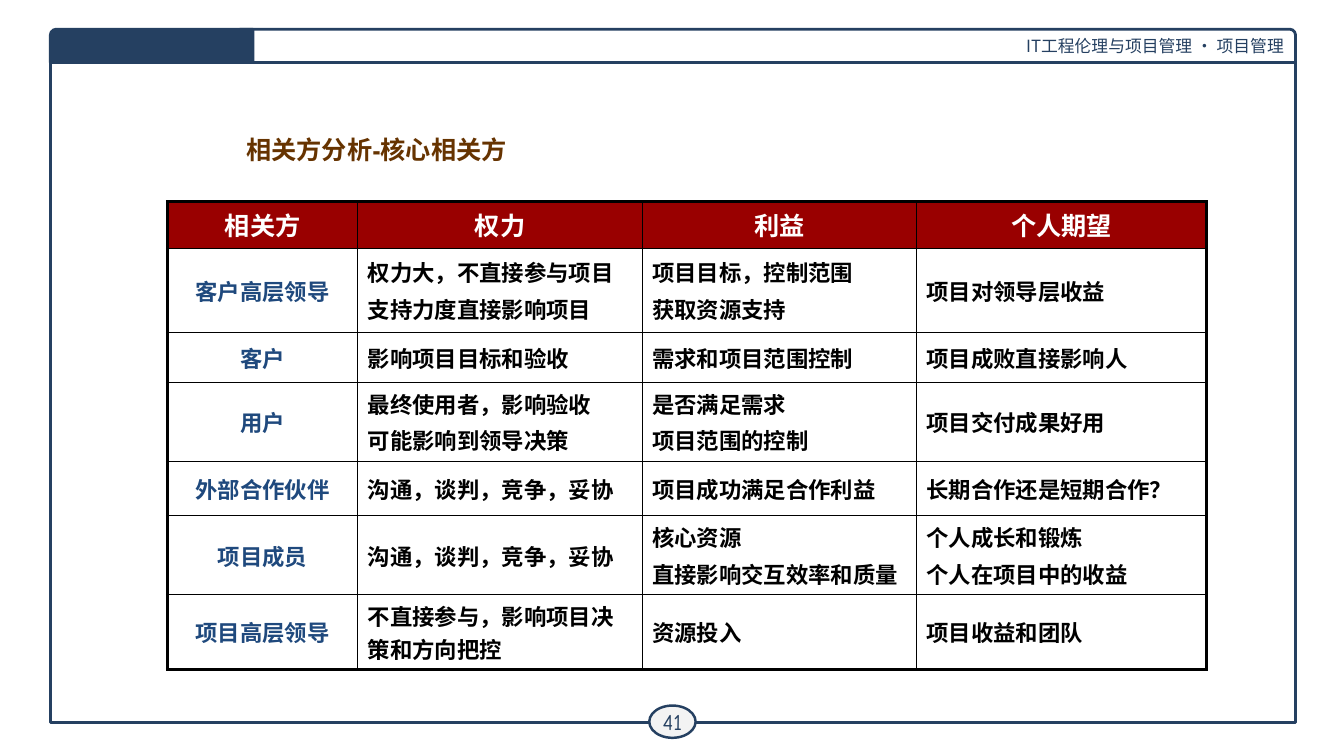
import dataclasses

import lxml.etree
import pptx
import pptx.dml.color
import pptx.enum.shapes
import pptx.enum.text
import pptx.oxml.ns
import pptx.util

ALIGN = pptx.enum.text.PP_ALIGN
ANCHOR = pptx.enum.text.MSO_ANCHOR
SHAPE = pptx.enum.shapes.MSO_SHAPE


@dataclasses.dataclass(frozen=True)
class Theme:
    """Colours, fonts and sizes of the slide."""
    width: float = 13.33
    height: float = 7.5
    navy: str = "254061"
    white: str = "FFFFFF"
    pale: str = "F3F3F3"
    brown: str = "663300"
    red: str = "990000"
    blue: str = "1F497D"
    black: str = "000000"
    cjk: str = "Noto Sans CJK SC"
    heading: int = 18
    body: int = 16
    small: int = 12
    frame_line: float = 2
    outer: float = 2.25
    inner: float = 1


THEME = Theme()
COLUMNS = (14.18, 21.16, 20.4, 21.6)
ROWS = (5.2, 11.2, 6.53, 9.47, 7.2, 9.33, 8)
STAKEHOLDERS = (
    ("相关方", "权力", "利益", "个人期望"),
    ("客户高层领导", "权力大，不直接参与项目\n支持力度直接影响项目",
     "项目目标，控制范围\n获取资源支持", "项目对领导层收益"),
    ("客户", "影响项目目标和验收", "需求和项目范围控制", "项目成败直接影响人"),
    ("用户", "最终使用者，影响验收\n可能影响到领导决策",
     "是否满足需求\n项目范围的控制", "项目交付成果好用"),
    ("外部合作伙伴", "沟通，谈判，竞争，妥协", "项目成功满足合作利益", "长期合作还是短期合作？"),
    ("项目成员", "沟通，谈判，竞争，妥协",
     "核心资源\n直接影响交互效率和质量", "个人成长和锻炼\n个人在项目中的收益"),
    ("项目高层领导", "不直接参与，影响项目决策和方向把控", "资源投入", "项目收益和团队"),
)


def across(share):
    """Return a percentage of the slide width as a length."""
    return pptx.util.Inches(THEME.width * share / 100)


def down(share):
    """Return a percentage of the slide height as a length."""
    return pptx.util.Inches(THEME.height * share / 100)


def area(left, top, width, height):
    """Return a rectangle given in percentages of the slide."""
    return across(left), down(top), across(width), down(height)


def apply(target, formats):
    """Set each attribute in a dict of format values."""
    for name, value in formats.items():
        setattr(target, name, value)


def colour(value):
    """Return a colour object for a hex string."""
    return pptx.dml.color.RGBColor.from_string(value)


def write(frame, text, align, ink, **font):
    """Fill a text frame with one formatted paragraph per line."""
    frame.text = text
    for index, para in enumerate(frame.paragraphs):
        para.alignment = align
        if index:
            para.space_before = pptx.util.Pt(font["size"] * 0.2)
        for span in para.runs:
            apply(span.font, {**font, "size": pptx.util.Pt(font["size"])})
            span.font.color.rgb = colour(ink)
            latin = span.font._element.find(pptx.oxml.ns.qn("a:latin"))
            east = lxml.etree.Element(pptx.oxml.ns.qn("a:ea"), typeface=THEME.cjk)
            latin.addnext(east)


def add_panel(page, kind, place, fill=None, line=THEME.frame_line):
    """Add an outlined shape of the page frame."""
    box = page.shapes.add_shape(kind, *area(*place))
    box.shadow.inherit = False
    if fill:
        box.fill.solid()
        box.fill.fore_color.rgb = colour(fill)
    else:
        box.fill.background()
    box.line.color.rgb = colour(THEME.navy)
    box.line.width = pptx.util.Pt(line)
    return box


def add_frame(page):
    """Draw the page frame with its header strip and page number."""
    add_panel(page, SHAPE.RECTANGLE, (3.75, 6.67, 92.65, 88.93))
    header = add_panel(page, SHAPE.ROUND_1_RECTANGLE, (17.85, 3.87, 78.54, 4.4), THEME.white)
    header.text_frame.vertical_anchor = ANCHOR.MIDDLE
    write(header.text_frame, "IT工程伦理与项目管理 · 项目管理", ALIGN.RIGHT,
          THEME.navy, size=THEME.small, name=THEME.cjk)

    number = add_panel(page, SHAPE.OVAL, (48.31, 93.33, 3.45, 4.27), THEME.pale, 1.75)
    inset = pptx.util.Inches(0.04)
    apply(number.text_frame, {
        "margin_left": inset, "margin_right": inset, "margin_top": inset,
        "margin_bottom": inset, "word_wrap": False, "vertical_anchor": ANCHOR.MIDDLE})
    write(number.text_frame, "41", ALIGN.CENTER, THEME.navy,
          size=THEME.body, name="Comic Neue")

    tab = add_panel(page, SHAPE.ROUND_1_RECTANGLE, (3.75, 3.87, 15.08, 4.4), THEME.navy)
    tab.adjustments[0] = 0.175
    tab._element.spPr.xfrm.set("flipH", "1")


def add_title(page):
    """Place and format the title placeholder."""
    title = page.shapes.title
    apply(title, dict(zip(("left", "top", "width", "height"),
                          area(12.45, 17.07, 31.13, 6.4))))
    apply(title.text_frame, {"vertical_anchor": ANCHOR.TOP, "word_wrap": True,
                             "auto_size": pptx.enum.text.MSO_AUTO_SIZE.NONE})
    write(title.text_frame, "相关方分析-核心相关方", ALIGN.CENTER, THEME.brown,
          size=THEME.heading, name="TeX Gyre Schola", bold=True)


def set_borders(cell, outer_sides):
    """Rule a cell, with heavier lines on the outer sides."""
    properties = cell._tc.get_or_add_tcPr()
    for index, side in enumerate("LRTB"):
        weight = THEME.outer if side in outer_sides else THEME.inner
        line = lxml.etree.Element(pptx.oxml.ns.qn(f"a:ln{side}"), w=str(pptx.util.Pt(weight)))
        fill = lxml.etree.SubElement(line, pptx.oxml.ns.qn("a:solidFill"))
        lxml.etree.SubElement(fill, pptx.oxml.ns.qn("a:srgbClr"), val=THEME.black)
        properties.insert(index, line)


def format_cell(cell, text, row, column):
    """Fill and format one cell according to its place in the table."""
    is_header = row == 0
    if is_header:
        cell.fill.solid()
        cell.fill.fore_color.rgb = colour(THEME.red)
        ink, size = THEME.white, THEME.heading
    else:
        cell.fill.background()
        ink, size = THEME.black if column else THEME.blue, THEME.body
    cell.vertical_anchor = ANCHOR.TOP if is_header else ANCHOR.MIDDLE
    align = ALIGN.CENTER if is_header or column == 0 else ALIGN.LEFT
    write(cell.text_frame, text, align, ink, size=size, name="Arial", bold=True)
    edges = {"L": column == 0, "R": column == len(COLUMNS) - 1,
             "T": is_header, "B": row == len(ROWS) - 1}
    set_borders(cell, [side for side, is_edge in edges.items() if is_edge])


def add_stakeholder_table(page):
    """Add the table of stakeholders."""
    place = area(12.45, 26.67, sum(COLUMNS), sum(ROWS))
    table = page.shapes.add_table(len(ROWS), len(COLUMNS), *place).table
    table.horz_banding = False
    for column, share in zip(table.columns, COLUMNS):
        column.width = across(share)
    for row, share in zip(table.rows, ROWS):
        row.height = down(share)
    for row, texts in enumerate(STAKEHOLDERS):
        for column, text in enumerate(texts):
            format_cell(table.cell(row, column), text, row, column)


def main():
    """Build and save the slide."""
    deck = pptx.Presentation()
    deck.slide_width, deck.slide_height = across(100), down(100)
    page = deck.slides.add_slide(deck.slide_layouts[5])
    add_frame(page)
    add_title(page)
    add_stakeholder_table(page)
    deck.save("out.pptx")


if __name__ == "__main__":
    main()
